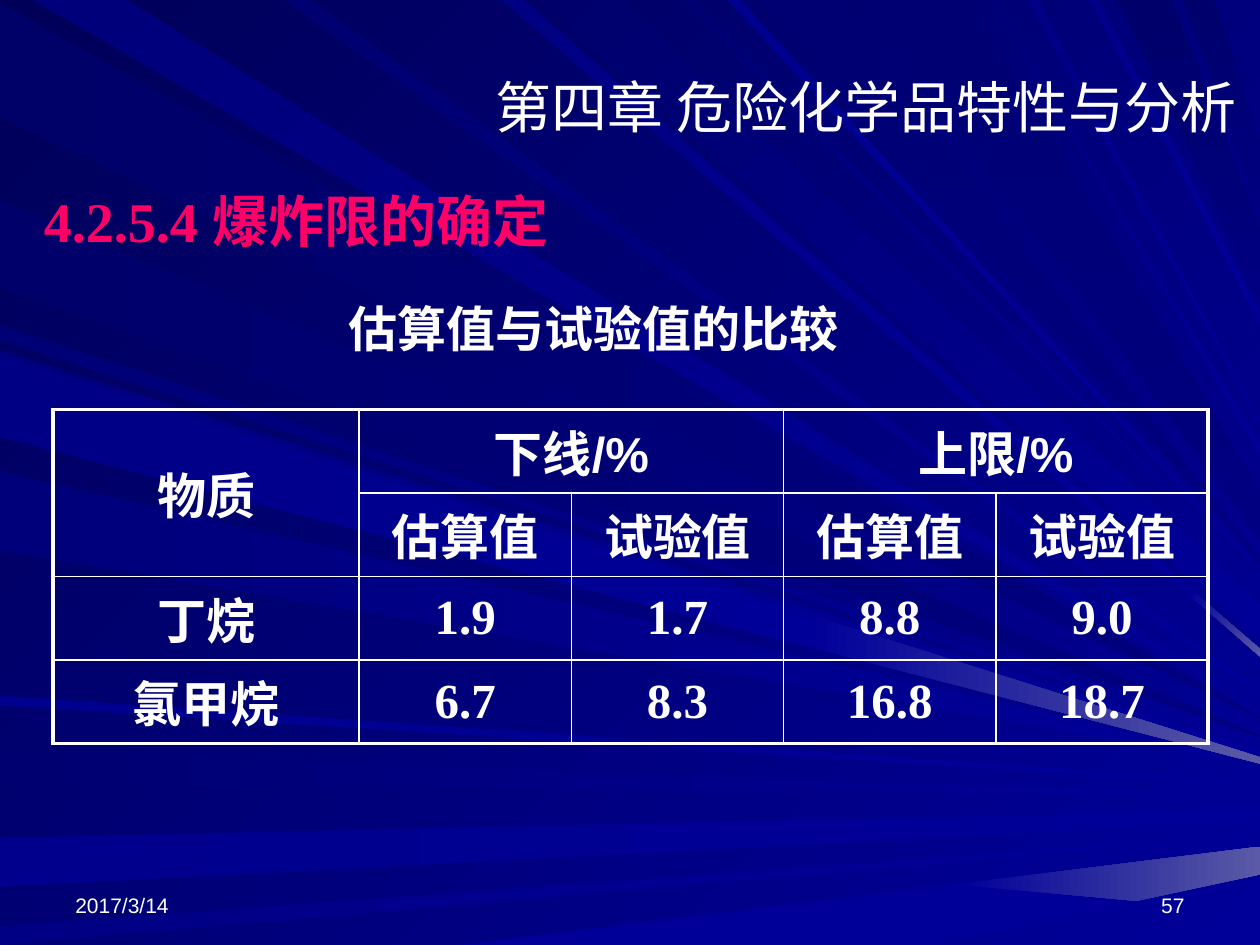
"""Build the slide comparing estimated and measured explosion limits."""
from dataclasses import dataclass
from typing import NamedTuple

from pptx import Presentation, util as u
from pptx.dml.color import RGBColor
from pptx.enum import text as t
from pptx.oxml import parse_xml
from pptx.oxml.ns import nsdecls

UNIT = u.Inches(0.01)
COLUMNS, ROWS = 1000, 750


@dataclass(frozen=True)
class Theme:
    """Colours, fonts and sizes used on the slide."""
    white: str = "FFFFFF"
    accent: str = "FF0066"
    night: str = "000058"
    navy: str = "000080"
    blue: str = "000099"
    glow: str = "5A5AA6"
    sans: str = "Arial"
    serif: str = "Times New Roman"
    large: float = 32
    medium: float = 28
    small: float = 12
    frame: float = 2.25
    rule: float = 1


THEME = Theme()
NAVY, BLUE = THEME.navy, THEME.blue


class Place(NamedTuple):
    """Columns and rows of the slide grid."""
    left: int
    top: int
    width: int
    height: int

    def lengths(self) -> list:
        """Return the place in slide units."""
        return [UNIT * value for value in self]


class Ray(NamedTuple):
    """A ray from a stretch of one slide edge to the right edge."""
    edge: str
    near: int
    width: int
    tip: int
    spread: int
    start: str
    end: str = BLUE
    glow_from: float = 1

    def sides(self) -> tuple:
        """Return both long sides as pairs of grid points."""
        nears = (self.near, self.near + self.width)
        tips = (self.tip, self.tip + self.spread)
        if self.edge == "left":
            starts = [(0, near) for near in nears]
        else:
            starts = [(near, 0 if self.edge == "top" else ROWS) for near in nears]
        if self.edge == "top":
            tips = tips[::-1]
        return tuple((start, (COLUMNS, tip)) for start, tip in zip(starts, tips))


class Label(NamedTuple):
    """A line of text with its place and look."""
    words: str
    place: Place
    size: float
    font: str
    colour: str = THEME.white
    bold: bool = False
    align: t.PP_ALIGN = t.PP_ALIGN.LEFT
    anchor: t.MSO_ANCHOR = t.MSO_ANCHOR.TOP


RAYS = (
    Ray("left", 2, 91, 569, 1, "000069", NAVY),
    Ray("top", 26, 75, 562, 1, "00007B"),
    Ray("left", 596, 27, 631, 1, "000071"),
    Ray("left", 665, 39, 643, 8, "00008C"),
    Ray("left", 735, 15, 662, 1, "000085"),
    Ray("bottom", 364, 378, 672, 22, BLUE, BLUE, 0.62),
    Ray("left", 258, 12, 589, 1, "000076"),
    Ray("left", 159, 69, 584, 1, "00006B", NAVY),
    Ray("top", 398, 18, 515, 6, "000083", BLUE, 0.91),
    Ray("top", 426, 66, 479, 28, "00006D"),
    Ray("top", 540, 12, 463, 1, "000073"),
    Ray("top", 606, 55, 445, 1, "000073", NAVY),
    Ray("top", 887, 43, 183, 54, "00006B", NAVY),
    Ray("top", 939, 25, 114, 53, "00006D", NAVY),
    Ray("left", 278, 64, 596, 6, "00007E"),
    Ray("left", 374, 63, 605, 1, "00007B"),
    Ray("left", 552, 8, 621, 2, "00008E"),
    Ray("top", 225, 22, 547, 5, "000070"),
    Ray("top", 577, 11, 453, 1, "00008E"),
    Ray("top", 686, 84, 390, 38, "000073", NAVY),
    Ray("top", 785, 7, 354, 6, "000078"),
    Ray("top", 815, 9, 335, 1, "000085"),
    Ray("top", 865, 7, 249, 9, "00008A"),
    Ray("left", 283, 64, 601, 5, "000085", BLUE, 0.64),
)

LABELS = (
    Label("2017/3/14", Place(50, 683, 233, 50), THEME.small, THEME.sans,
          anchor=t.MSO_ANCHOR.BOTTOM),
    Label("57", Place(717, 683, 233, 50), THEME.small, THEME.sans,
          align=t.PP_ALIGN.RIGHT, anchor=t.MSO_ANCHOR.BOTTOM),
    Label("4.2.5.4 爆炸限的确定", Place(25, 143, 958, 64), THEME.large, THEME.serif,
          THEME.accent, True),
    Label("估算值与试验值的比较", Place(25, 232, 892, 57), THEME.medium, THEME.serif,
          bold=True, align=t.PP_ALIGN.CENTER),
)
TITLE = Label("第四章 危险化学品特性与分析", Place(375, 33, 625, 103), THEME.large, THEME.sans,
              align=t.PP_ALIGN.CENTER, anchor=t.MSO_ANCHOR.MIDDLE)

TABLE_PLACE = Place(42, 325, 917, 237)
FIRST_COLUMN, FIRST_ROW = 243, 57
HEADER_ROWS = 2
MERGES = (((0, 0), (1, 0)), ((0, 1), (0, 2)), ((0, 3), (0, 4)))
VALUES = (
    ("物质", "下线/%", "", "上限/%", ""),
    ("", "估算值", "试验值", "估算值", "试验值"),
    ("丁烷", "1.9", "1.7", "8.8", "9.0"),
    ("氯甲烷", "6.7", "8.3", "16.8", "18.7"),
)


def paint(fill, start: str, end: str, angle: int) -> None:
    """Fill with one colour or with a two-colour gradient."""
    if start == end:
        fill.solid()
        fill.fore_color.rgb = RGBColor.from_string(start)
        return
    fill.gradient()
    fill.gradient_angle = -angle % 360
    for stop, colour in zip(fill.gradient_stops, (start, end)):
        stop.color.rgb = RGBColor.from_string(colour)


def style(para, size: float, font: str, colour: str, bold: bool, align) -> None:
    """Set the look of a whole paragraph."""
    para.alignment = align
    para.font.size, para.font.name, para.font.bold = u.Pt(size), font, bold
    para.font.color.rgb = RGBColor.from_string(colour)


def along(side: tuple, share: float) -> tuple:
    """Return the point at a share of a side's length."""
    return tuple(a + (b - a) * share for a, b in zip(*side))


def draw_band(group, ray: Ray, first: float, last: float, start: str, end: str) -> None:
    """Draw the part of a ray between two shares of its length."""
    one, other = ray.sides()
    corners = [along(one, first), along(one, last), along(other, last), along(other, first)]
    builder = group.shapes.build_freeform(*corners[0], scale=UNIT)
    builder.add_line_segments(corners[1:], close=True)
    shape = builder.convert_to_shape()
    shape.shadow.inherit = False
    shape.line.fill.background()
    steep = 90 if end == NAVY else 45
    paint(shape.fill, start, end, steep if ray.edge == "top" else 0)


def draw_ray(group, ray: Ray) -> None:
    """Draw a ray and its glowing tail, if it has one."""
    draw_band(group, ray, 0, ray.glow_from, ray.start, ray.end)
    if ray.glow_from < 1:
        draw_band(group, ray, ray.glow_from, 1, ray.end, THEME.glow)


def write_label(box, label: Label) -> None:
    """Place a box and write its single line."""
    box.left, box.top, box.width, box.height = label.place.lengths()
    frame = box.text_frame
    frame.text, frame.word_wrap = label.words, True
    frame.auto_size, frame.vertical_anchor = t.MSO_AUTO_SIZE.NONE, label.anchor
    style(frame.paragraphs[0], label.size, label.font, label.colour, label.bold, label.align)


def draw_borders(cell, row: int, column: int) -> None:
    """Rule a cell, with heavier lines along the table frame."""
    outer = {"L": column == 0, "R": column + cell.span_width == len(VALUES[0]),
             "T": row == 0, "B": row + cell.span_height == len(VALUES)}
    properties = cell._tc.get_or_add_tcPr()
    for index, (side, heavy) in enumerate(outer.items()):
        width = u.Pt(THEME.frame if heavy else THEME.rule)
        properties.insert(index, parse_xml(
            f'<a:ln{side} {nsdecls("a")} w="{width}"><a:solidFill>'
            f'<a:srgbClr val="{THEME.white}"/></a:solidFill></a:ln{side}>'))


def share_out(total: int, first: int, count: int) -> list:
    """Return a first length and equal shares of the rest."""
    return [int(UNIT * first)] + [int(UNIT * (total - first) / (count - 1))] * (count - 1)


def draw_table(page) -> None:
    """Draw the comparison table."""
    row_count, column_count = len(VALUES), len(VALUES[0])
    table = page.shapes.add_table(row_count, column_count, *TABLE_PLACE.lengths()).table
    for column, width in zip(table.columns, share_out(TABLE_PLACE.width, FIRST_COLUMN, column_count)):
        column.width = width
    for row, height in zip(table.rows, share_out(TABLE_PLACE.height, FIRST_ROW, row_count)):
        row.height = height
    for first, last in MERGES:
        table.cell(*first).merge(table.cell(*last))
    for row, values in enumerate(VALUES):
        for column, value in enumerate(values):
            cell = table.cell(row, column)
            cell.fill.background()
            if cell.is_spanned:
                continue
            cell.text, cell.vertical_anchor = value, t.MSO_ANCHOR.MIDDLE
            font = THEME.serif if row >= HEADER_ROWS and column else THEME.sans
            style(cell.text_frame.paragraphs[0], THEME.medium, font, THEME.white, True,
                  t.PP_ALIGN.CENTER)
            draw_borders(cell, row, column)


def main() -> None:
    """Build and save the deck."""
    deck = Presentation()
    deck.slide_width, deck.slide_height = UNIT * COLUMNS, UNIT * ROWS
    page = deck.slides.add_slide(deck.slide_layouts.get_by_name("Title Only"))
    paint(page.background.fill, THEME.night, BLUE, 45)
    backdrop = page.shapes.add_group_shape()
    for ray in RAYS:
        draw_ray(backdrop, ray)
    for label in LABELS:
        write_label(page.shapes.add_textbox(*label.place.lengths()), label)
    draw_table(page)
    title = page.shapes.title
    write_label(title, TITLE)
    title.element.getparent().append(title.element)
    deck.save("out.pptx")


if __name__ == "__main__":
    main()
